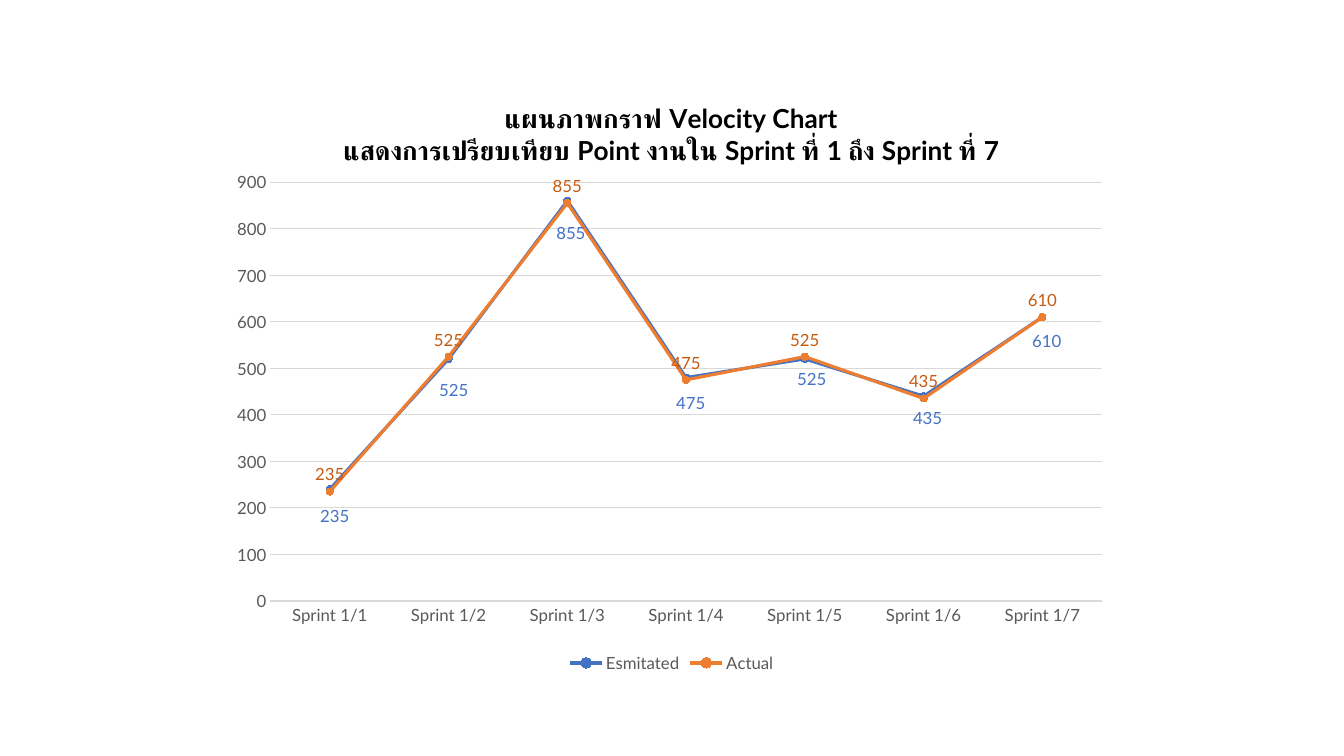
from dataclasses import dataclass

from lxml.etree import SubElement as Sub
from pptx import Presentation
from pptx.chart.data import CategoryChartData as Data
from pptx.dml.color import RGBColor as Rgb
from pptx.enum.chart import XL_CHART_TYPE as Kind
from pptx.enum.chart import XL_LABEL_POSITION as Spot
from pptx.enum.chart import XL_LEGEND_POSITION as Side
from pptx.enum.chart import XL_MARKER_STYLE as Mark
from pptx.enum.chart import XL_TICK_MARK as Tick
from pptx.oxml import parse_xml
from pptx.oxml.ns import nsdecls, qn
from pptx.util import Cm, Pt


@dataclass(frozen=True)
class Theme:
    """Colours, font and sizes of the slide."""
    font: str = "Lato"
    ink: str = "000000"
    grey: str = "595959"
    grid: str = "D9D9D9"
    blue: str = "4472C4"
    orange: str = "ED7D31"
    rust: str = "C55A11"
    head: float = 18.7
    small: float = 12
    thin: float = 0.75
    thick: float = 2.25


THEME = Theme()
TITLE = ["แผนภาพกราฟ Velocity Chart",
         "แสดงการเปรียบเทียบ Point งานใน Sprint ที่ 1 ถึง Sprint ที่ 7"]
POINTS = [235, 525, 855, 475, 525, 435, 610]
# The estimated line has no data labels of its own: two digits are enough
SERIES = {"Esmitated": [round(point, -1) for point in POINTS],
          "Actual": POINTS}
# Left and top, in cm, of the label for each estimated point
SPOTS = [(7.82, 12.62), (10.82, 9.45), (13.77, 5.49), (16.79, 9.78),
         (19.84, 9.17), (22.76, 10.16), (25.76, 8.2)]


def style(font, size=THEME.small, color=THEME.grey, bold=False):
    """Set face, size, colour and weight of a font."""
    font.name = THEME.font
    font.size = Pt(size)
    font.bold = bold
    font.color.rgb = Rgb.from_string(color)


def write(frame, lines, **form):
    """Fill a text frame with one formatted paragraph per line."""
    for i, line in enumerate(lines):
        para = frame.add_paragraph() if i else frame.paragraphs[0]
        run = para.add_run()
        run.text = line
        style(run.font, **form)


def stroke(line, color, width):
    """Set the colour and width of a line."""
    line.color.rgb = Rgb.from_string(color)
    line.width = Pt(width)


def place(node, inner=False, **parts):
    """Give a chart part a manual layout in fractions of the chart."""
    for old in node.findall(qn("c:layout")):
        node.remove(old)
    layout = parse_xml(f"<c:layout {nsdecls('c')}/>")
    manual = Sub(layout, qn("c:manualLayout"))
    if inner:
        Sub(manual, qn("c:layoutTarget"), val="inner")
    for key in "xy":
        Sub(manual, qn(f"c:{key}Mode"), val="edge")
    for key, val in parts.items():
        Sub(manual, qn(f"c:{key}"), val=str(val))
    text = node.find(qn("c:tx"))
    node.insert(0 if text is None else 1, layout)


def add_title(chart):
    """Write the chart title and put it over the plot."""
    chart.has_title = True
    title = chart.chart_title
    title.include_in_layout = False
    write(title.text_frame, TITLE, size=THEME.head, color=THEME.ink, bold=True)
    place(title._element, x=0.13, y=0.03)


def set_axes(chart):
    """Format both axes and the grid."""
    for axis in (chart.category_axis, chart.value_axis):
        axis.major_tick_mark = axis.minor_tick_mark = Tick.NONE
        style(axis.tick_labels.font)
    stroke(chart.category_axis.format.line, THEME.grid, THEME.thin)
    value = chart.value_axis
    value.minimum_scale, value.maximum_scale = 0, 900
    value.major_unit = 100
    value.format.line.fill.background()
    stroke(value.major_gridlines.format.line, THEME.grid, THEME.thin)


def set_line(series, color):
    """Format a series as a straight line with round markers."""
    series.smooth = False
    stroke(series.format.line, color, THEME.thick)
    mark = series.marker
    mark.style, mark.size = Mark.CIRCLE, 5
    mark.format.fill.solid()
    mark.format.fill.fore_color.rgb = Rgb.from_string(color)
    stroke(mark.format.line, color, THEME.thin)


def add_graph(slide):
    """Add the velocity chart."""
    data = Data()
    data.categories = [f"Sprint 1/{i}" for i in range(1, len(POINTS) + 1)]
    for name, values in SERIES.items():
        data.add_series(name, values)
    chart = slide.shapes.add_chart(Kind.LINE_MARKERS, Cm(5.64), Cm(2),
                                   Cm(22.58), Cm(15.06), data).chart
    style(chart.font, size=10, color=THEME.ink)
    add_title(chart)
    set_axes(chart)
    plot = chart.plots[0]
    plot.vary_by_categories = False
    for series, color in zip(plot.series, (THEME.blue, THEME.orange)):
        set_line(series, color)
    labels = plot.series[1].data_labels
    labels.show_value = True
    labels.position = Spot.ABOVE
    style(labels.font, color=THEME.rust)
    chart.has_legend = True
    chart.legend.position = Side.BOTTOM
    chart.legend.include_in_layout = False
    style(chart.legend.font)
    area = chart._chartSpace.find(f".//{qn('c:plotArea')}")
    place(area, inner=True, x=0.052, y=0.172, w=0.928, h=0.701)


def add_label(slide, value, left, top):
    """Add the label of one estimated point."""
    box = slide.shapes.add_textbox(Cm(left), Cm(top), Cm(1.27), Cm(0.71))
    box.text_frame.word_wrap = False
    write(box.text_frame, [str(value)], color=THEME.blue)


def main():
    """Build and save the slide."""
    deck = Presentation()
    deck.slide_width, deck.slide_height = Cm(33.87), Cm(19.05)
    slide = deck.slides.add_slide(deck.slide_layouts[6])
    add_graph(slide)
    for value, spot in zip(POINTS, SPOTS):
        add_label(slide, value, *spot)
    deck.save("out.pptx")


main()
